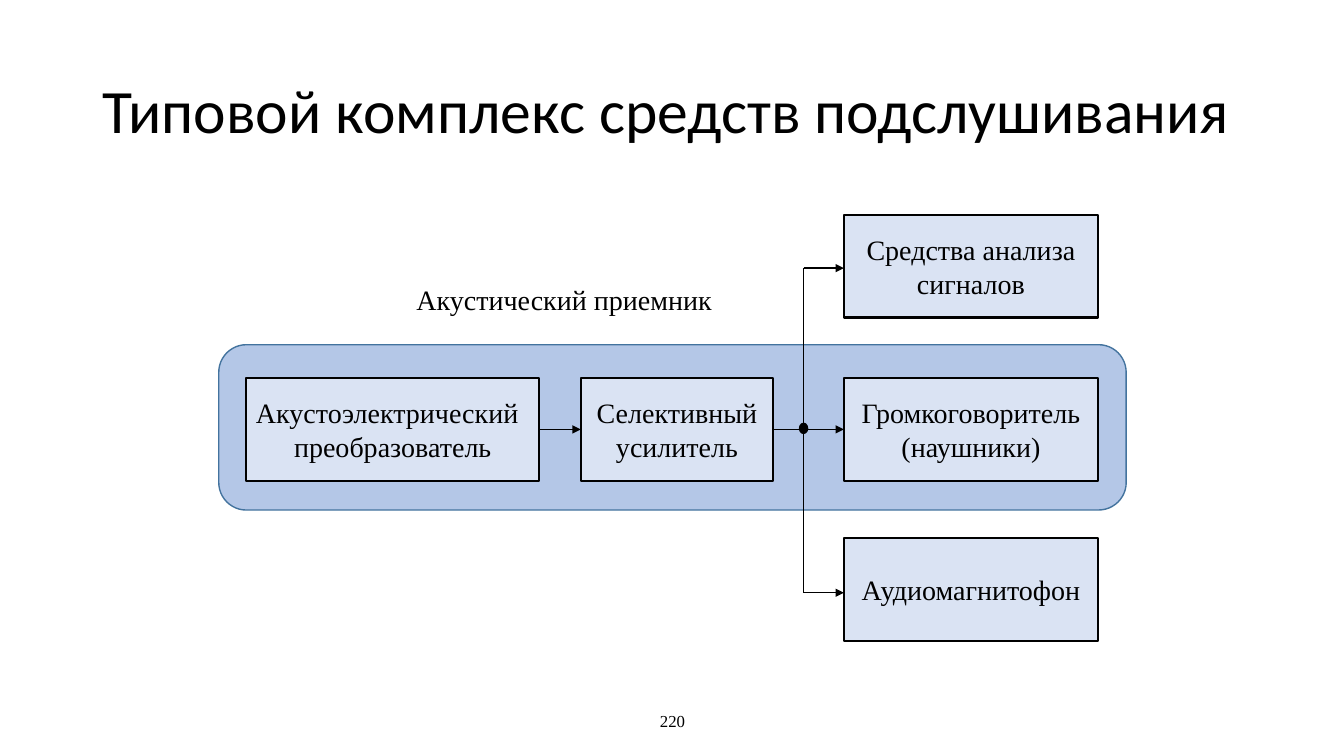
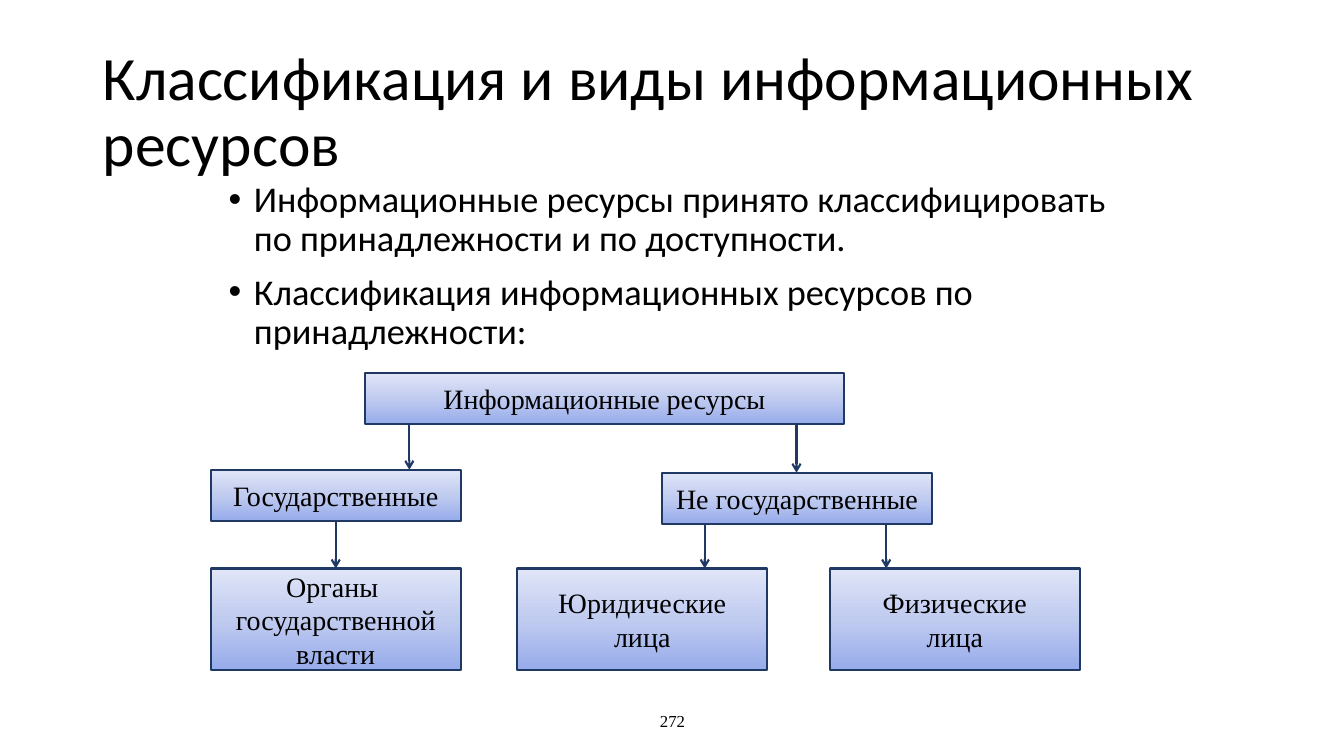
import copy

import lxml.etree
import pptx
import pptx.dml.color
import pptx.enum.dml
import pptx.enum.shapes
import pptx.enum.text
import pptx.oxml.ns
import pptx.util

Inches = pptx.util.Inches
Pt = pptx.util.Pt
SHAPE = pptx.enum.shapes.MSO_SHAPE
ALIGN = pptx.enum.text.PP_ALIGN
ANCHOR = pptx.enum.text.MSO_ANCHOR
qn = pptx.oxml.ns.qn

SANS = "Calibri"
SERIF = "Times New Roman"
BLACK = "000000"
WHITE = "FFFFFF"
PANEL_FILL = "B4C7E7"
PANEL_LINE = "43739E"
BLOCK_FILL = "DAE3F3"
NAVY = "203864"
GRADIENT = [(0, "96ABEA"), (0.5, "C0CBF0"), (1, "E0E5F7")]


def rgb(value):
    return pptx.dml.color.RGBColor.from_string(value)


def write(tf, text, size=20, font=SERIF, color=BLACK, align=ALIGN.CENTER,
          anchor=ANCHOR.MIDDLE, spacing=None, before=0, bullet=False,
          first_align=None):
    tf.word_wrap = True
    tf.auto_size = pptx.enum.text.MSO_AUTO_SIZE.NONE
    tf.vertical_anchor = anchor
    for i, line in enumerate(text.split("\n")):
        p = tf.add_paragraph() if i else tf.paragraphs[0]
        p.alignment = first_align if first_align and i == 0 else align
        p.space_before = Pt(before if i else 0)
        if spacing:
            p.line_spacing = spacing
        if bullet:
            pPr = p._p.get_or_add_pPr()
            pPr.set("marL", str(Inches(0.25)))
            pPr.set("indent", str(Inches(-0.25)))
            lxml.etree.SubElement(pPr, qn("a:buFont"), typeface="Arial")
            lxml.etree.SubElement(pPr, qn("a:buChar"), char="•")
        r = p.add_run()
        r.text = line
        r.font.size = Pt(size)
        r.font.name = font
        r.font.color.rgb = rgb(color)


def add_text(s, x, y, w, h, text, **fmt):
    box = s.shapes.add_textbox(Inches(x), Inches(y), Inches(w), Inches(h))
    write(box.text_frame, text, **fmt)


def fill_gradient(sp, stops):
    sp.fill.gradient()
    sp.fill.gradient_angle = 90
    gs_list = sp.element.spPr.find(qn("a:gradFill")).find(qn("a:gsLst"))
    gs_list.insert(1, copy.deepcopy(gs_list[0]))
    for stop, (position, color) in zip(sp.fill.gradient_stops, stops):
        stop.position = position
        stop.color.rgb = rgb(color)


def add_box(s, x, y, w, h, fill, line, width, text=None, kind=SHAPE.RECTANGLE, **fmt):
    sp = s.shapes.add_shape(kind, Inches(x), Inches(y), Inches(w), Inches(h))
    sp.shadow.inherit = False
    if isinstance(fill, list):
        fill_gradient(sp, fill)
    else:
        sp.fill.solid()
        sp.fill.fore_color.rgb = rgb(fill)
    sp.line.color.rgb = rgb(line)
    sp.line.width = Pt(width)
    if text:
        write(sp.text_frame, text, **fmt)


def add_line(s, x1, y1, x2, y2, color, width, arrow=None):
    c = s.shapes.add_connector(pptx.enum.shapes.MSO_CONNECTOR.STRAIGHT,
                               Inches(x1), Inches(y1), Inches(x2), Inches(y2))
    c.line.color.rgb = rgb(color)
    c.line.width = Pt(width)
    if arrow:
        ln = c.element.spPr.find(qn("a:ln"))
        lxml.etree.SubElement(ln, qn("a:tailEnd"), type=arrow)
    lxml.etree.SubElement(c.element.spPr, qn("a:effectLst"))


def add_slide(prs, title, number):
    s = prs.slides.add_slide(prs.slide_layouts[5])
    s.background.fill.solid()
    s.background.fill.fore_color.rgb = rgb(WHITE)
    sp = s.shapes.title
    sp.left, sp.top = Inches(0.92), Inches(0.4)
    sp.width, sp.height = Inches(11.5), Inches(1.45)
    write(sp.text_frame, title, size=44, font=SANS, align=ALIGN.LEFT, spacing=0.9)
    add_text(s, 4.42, 6.95, 4.5, 0.4, number, size=12)
    return s


def draw_receiver(s, x, y):
    add_box(s, x, y + 1.29, 9, 1.64, PANEL_FILL, PANEL_LINE, 1,
            kind=SHAPE.ROUNDED_RECTANGLE)
    blocks = [
        (0.27, 1.62, 2.91, "Акустоэлектрический\nпреобразователь", ALIGN.JUSTIFY),
        (3.59, 1.62, 1.91, "Селективный усилитель", None),
        (6.2, 1.62, 2.52, "Громкоговоритель\n(наушники)", None),
        (6.2, 3.21, 2.52, "Аудиомагнитофон", None),
        (6.2, 0, 2.52, "Средства анализа сигналов", None),
    ]
    for dx, dy, w, text, first_align in blocks:
        add_box(s, x + dx, y + dy, w, 1.02, BLOCK_FILL, BLACK, 1.5, text,
                first_align=first_align)
    top, middle, bottom, bus = 0.53, 2.13, 3.75, 5.8
    for start, end, dy in [(3.18, 3.59, middle), (5.5, 6.2, middle),
                           (bus, 6.2, top), (bus, 6.2, bottom)]:
        add_line(s, x + start, y + dy, x + end, y + dy, BLACK, 1, "triangle")
    add_line(s, x + bus, y + top, x + bus, y + bottom, BLACK, 1)
    add_box(s, x + bus - 0.04, y + middle - 0.06, 0.08, 0.1, BLACK, BLACK, 1,
            kind=SHAPE.OVAL)
    add_text(s, x + 1.52, y + 0.5, 3.81, 0.68, "Акустический приемник")


def draw_ownership_tree(s, x, y):
    leaf_top = 1.94
    nodes = [
        (1.53, 0, 4.75, 0.51, "Информационные ресурсы"),
        (0, 0.96, 2.48, 0.51, "Государственные"),
        (4.48, 0.99, 2.67, 0.51, "Не государственные"),
        (0, leaf_top, 2.48, 1.01, "Органы \nгосударственной\nвласти"),
        (3.04, leaf_top, 2.48, 1.01, "Юридические\nлица"),
        (6.14, leaf_top, 2.48, 1.01, "Физические\nлица"),
    ]
    for dx, dy, w, h, text in nodes:
        add_box(s, x + dx, y + dy, w, h, GRADIENT, NAVY, 1.5, text)
    for dx, start, end in [(1.24, 1.47, leaf_top), (4.9, 1.5, leaf_top),
                           (6.7, 1.5, leaf_top), (5.81, 0.51, 0.99),
                           (1.97, 0.51, 0.96)]:
        add_line(s, x + dx, y + start, x + dx, y + end, NAVY, 1.5, "arrow")


def receiver_slide(prs):
    s = add_slide(prs, "Типовой комплекс средств подслушивания", "220")
    draw_receiver(s, 2.17, 2.13)


def resources_slide(prs):
    s = add_slide(prs, "Классификация и виды информационных ресурсов", "272")
    add_text(s, 2.17, 1.75, 9, 1.8,
             "Информационные ресурсы принято классифицировать по принадлежности "
             "и по доступности.\n"
             "Классификация информационных ресурсов по принадлежности:",
             size=25.9, font=SANS, align=ALIGN.LEFT, anchor=ANCHOR.TOP,
             spacing=0.9, before=10, bullet=True)
    draw_ownership_tree(s, 2.09, 3.7)


def main():
    prs = pptx.Presentation()
    prs.slide_width, prs.slide_height = Inches(13.33), Inches(7.5)
    receiver_slide(prs)
    resources_slide(prs)
    prs.save("out.pptx")


if __name__ == "__main__":
    main()
